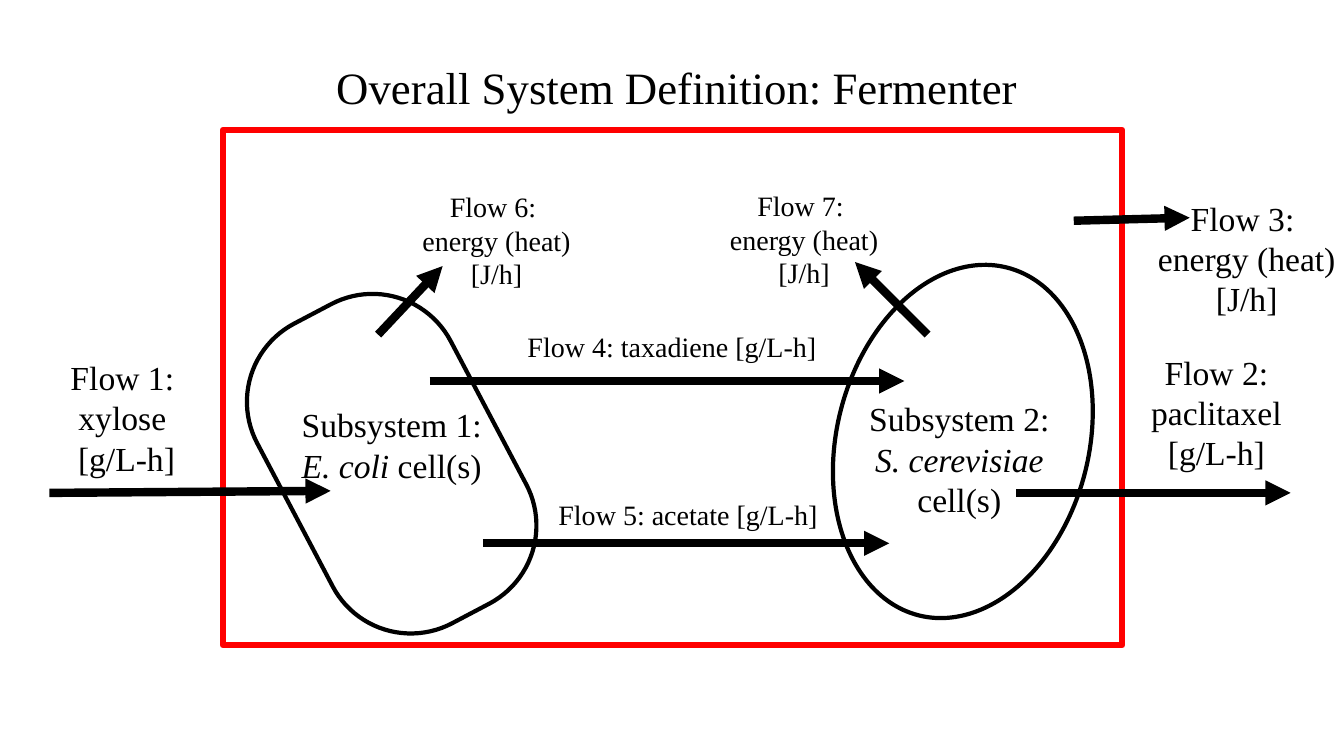
from dataclasses import dataclass

from lxml import etree
from pptx import Presentation
from pptx.dml.color import RGBColor
from pptx.enum.shapes import MSO_CONNECTOR, MSO_SHAPE
from pptx.enum.text import PP_ALIGN
from pptx.oxml.ns import qn
from pptx.util import Inches, Pt

RECTANGLE = MSO_SHAPE.RECTANGLE
ROUNDED = MSO_SHAPE.ROUNDED_RECTANGLE
ELLIPSE = MSO_SHAPE.OVAL
STRAIGHT = MSO_CONNECTOR.STRAIGHT
CENTER = PP_ALIGN.CENTER


@dataclass(frozen=True)
class Theme:
    """Colours, type sizes and line widths of the slide."""
    font: str = "Times New Roman"
    ink: RGBColor = RGBColor(0, 0, 0)
    paper: RGBColor = RGBColor(255, 255, 255)
    boundary: RGBColor = RGBColor(255, 0, 0)
    title: int = 32
    large: int = 24
    small: int = 20
    cell_line: float = 3
    boundary_line: float = 4.5
    arrow_line: float = 6


@dataclass(frozen=True)
class Box:
    """A rectangle on the slide, in inches."""
    left: float
    top: float
    width: float
    height: float

    def inside(self, left, top, width, height):
        """Return a box placed relative to this one."""
        return Box(self.left + left, self.top + top, width, height)

    def lengths(self):
        """Return left, top, width and height as slide lengths."""
        return [Inches(value) for value in (self.left, self.top, self.width, self.height)]


THEME = Theme()
TITLE_BOX = Box(1.5, 0.54, 10.43, 0.64)
FERMENTER_BOX = Box(2.21, 1.29, 8.92, 5.11)

CELLS = [
    (ROUNDED, (0.59, 1.63, 2.17, 3.36), 332.2, None,
     (-0.02, 1.04, 2.21, 0.91), ("Subsystem 1: ", "E. coli", " cell(s)")),
    (ELLIPSE, (6.09, 1.31, 2.5, 3.56), 14.3, THEME.paper,
     (0.11, 1.3, 2.21, 1.31), ("Subsystem 2: ", "S. cerevisiae", " cell(s)")),
]
INNER_FLOWS = [
    ((2.05, 2.49), (6.76, 2.49), (2.78, 1.93, 3.35, 0.44), ["Flow 4: taxadiene [g/L-h]"]),
    ((2.58, 4.1), (6.61, 4.1), (3.04, 3.6, 3.15, 0.44), ["Flow 5: acetate [g/L-h]"]),
    ((1.54, 2.03), (2.18, 1.35), (1.64, 0.54, 2.15, 1.11), ["Flow 6: ", "energy (heat) [J/h]"]),
    ((6.99, 2.03), (6.27, 1.31), (4.69, 0.53, 2.15, 1.11), ["Flow 7: ", "energy (heat) [J/h]"]),
]
BOUNDARY_FLOWS = [
    ((-1.72, 3.6), (1.07, 3.58), (-2.24, 2.2, 2.57, 1.31), ["Flow 1: ", "xylose ", "[g/L-h]"]),
    ((7.87, 3.6), (10.59, 3.6), (9.05, 2.15, 1.61, 1.31), ["Flow 2: paclitaxel [g/L-h]"]),
    ((8.44, 0.9), (9.59, 0.87), (9.08, 0.62, 2.15, 1.31), ["Flow 3: ", "energy (heat) [J/h]"]),
]


def add_text(slide, box, lines, size):
    """Add centred, wrapping text and return its paragraphs."""
    frame = slide.shapes.add_textbox(*box.lengths()).text_frame
    frame.word_wrap = True
    frame.text = "\n".join(lines)
    for paragraph in frame.paragraphs:
        paragraph.alignment = CENTER
        paragraph.font.name = THEME.font
        paragraph.font.size = Pt(size)
        paragraph.font.color.rgb = THEME.ink
    return frame.paragraphs


def add_outline(slide, kind, box, color, width, fill=None):
    """Add an outlined shape, filled only when a fill is given."""
    shape = slide.shapes.add_shape(kind, *box.lengths())
    shape.shadow.inherit = False
    if fill is None:
        shape.fill.background()
    else:
        shape.fill.solid()
        shape.fill.fore_color.rgb = fill
    shape.line.color.rgb = color
    shape.line.width = Pt(width)
    return shape


def add_arrow(slide, box, start, end):
    """Add a thick arrow between two points relative to the box."""
    points = [Inches(origin + offset) for point in (start, end)
              for origin, offset in zip((box.left, box.top), point)]
    arrow = slide.shapes.add_connector(STRAIGHT, *points)
    arrow.line.color.rgb = THEME.ink
    arrow.line.width = Pt(THEME.arrow_line)
    properties = arrow.element.spPr
    etree.SubElement(properties.find(qn("a:ln")), qn("a:tailEnd"), type="triangle")
    etree.SubElement(properties, qn("a:effectLst"))


def add_cell(slide, box, kind, rotation, fill, label_place, label):
    """Add a tilted cell with its upright label."""
    cell = add_outline(slide, kind, box, THEME.ink, THEME.cell_line, fill)
    cell.rotation = rotation
    if kind == ROUNDED:
        cell.adjustments[0] = 0.404
    name, species, ending = label
    paragraph = add_text(slide, box.inside(*label_place), [name], THEME.large)[0]
    for text, italic in ((species, True), (ending, False)):
        run = paragraph.add_run()
        run.text = text
        run.font.italic = italic


def add_flows(slide, box, flows, size):
    """Add labelled arrows placed relative to the box."""
    for start, end, label_place, lines in flows:
        add_arrow(slide, box, start, end)
        add_text(slide, box.inside(*label_place), lines, size)


def add_fermenter(slide, box):
    """Add the system boundary, its two cells and all flows."""
    for kind, place, rotation, fill, label_place, label in CELLS:
        add_cell(slide, box.inside(*place), kind, rotation, fill, label_place, label)
    add_outline(slide, RECTANGLE, box, THEME.boundary, THEME.boundary_line)
    add_flows(slide, box, INNER_FLOWS, THEME.small)
    add_flows(slide, box, BOUNDARY_FLOWS, THEME.large)


def main():
    """Build and save the presentation."""
    presentation = Presentation()
    presentation.slide_width = Inches(13.33)
    presentation.slide_height = Inches(7.5)
    slide = presentation.slides.add_slide(presentation.slide_layouts[6])
    add_text(slide, TITLE_BOX, ["Overall System Definition: Fermenter"], THEME.title)
    add_fermenter(slide, FERMENTER_BOX)
    presentation.save("out.pptx")


if __name__ == "__main__":
    main()
